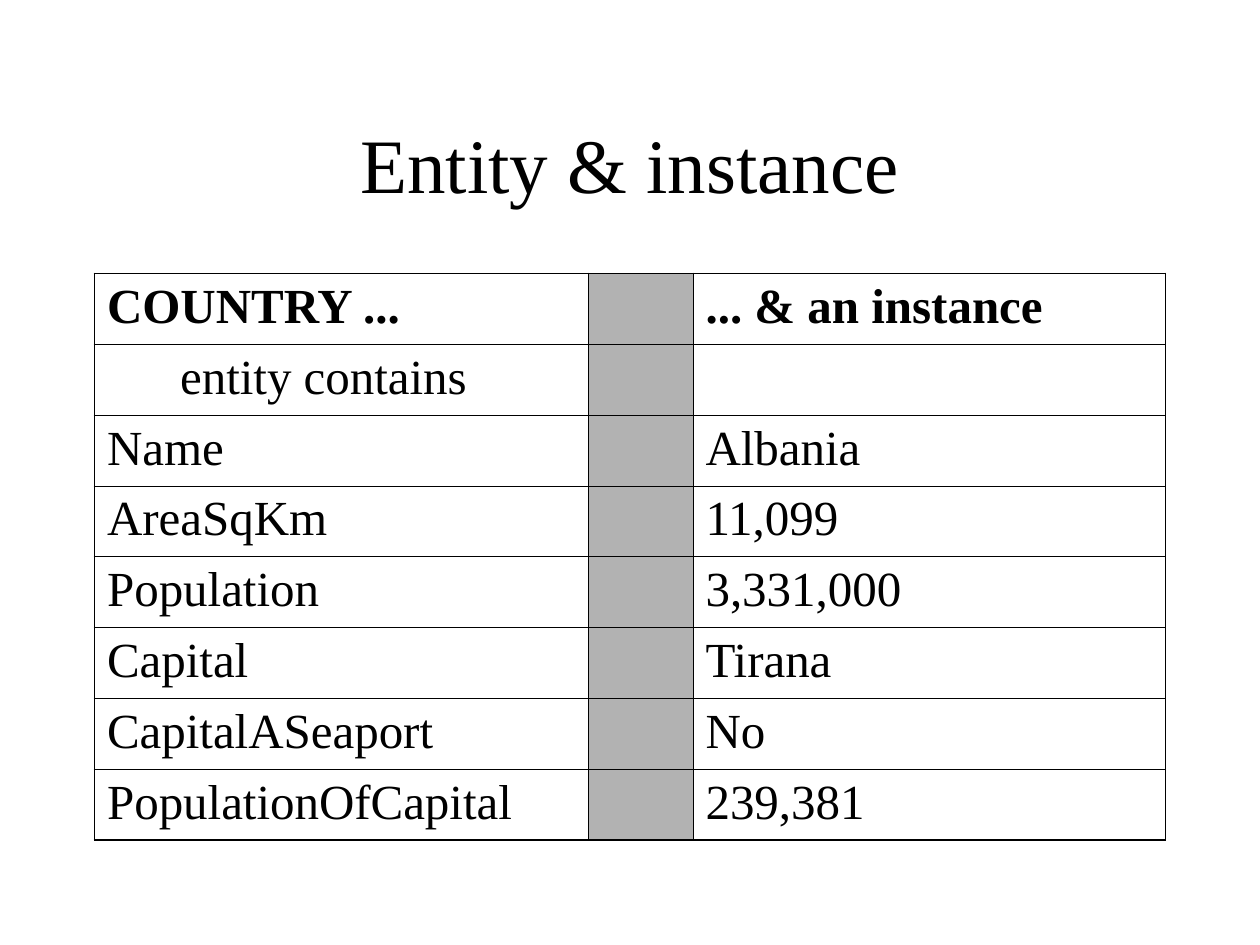
from lxml.etree import SubElement
from pptx import Presentation
from pptx.dml.color import RGBColor
from pptx.enum.text import MSO_ANCHOR, PP_ALIGN
from pptx.oxml.ns import qn
from pptx.util import Inches, Pt

BLACK = RGBColor(0x00, 0x00, 0x00)
GREY = RGBColor(0xB2, 0xB2, 0xB2)
FONT = "Times New Roman"
THIN, THICK = Pt(0.45), Pt(1.08)


def add_run(para, text, size, bold=False):
    run = para.add_run()
    run.text = text
    run.font.name = FONT
    run.font.size = Pt(size)
    run.font.bold = bold
    run.font.color.rgb = BLACK


def add_edge(cell, side, width):
    line = SubElement(cell._tc.get_or_add_tcPr(), qn(f"a:ln{side}"), w=str(width))
    fill = SubElement(line, qn("a:solidFill"))
    SubElement(fill, qn("a:srgbClr"), val=str(BLACK))


prs = Presentation()
prs.slide_width, prs.slide_height = Inches(10), Inches(7.5)
slide = prs.slides.add_slide(prs.slide_layouts[5])

title = slide.shapes.title
title.left, title.top = Inches(0.75), Inches(0.67)
title.width, title.height = Inches(8.5), Inches(1.25)
frame = title.text_frame
frame.word_wrap = True
frame.vertical_anchor = MSO_ANCHOR.MIDDLE
para = frame.paragraphs[0]
para.alignment = PP_ALIGN.CENTER
add_run(para, "Entity & instance", 44)

rows = [
    ("COUNTRY ...", "", "... & an instance"),
    ("entity contains", "", ""),
    ("Name", "", "Albania"),
    ("AreaSqKm", "", "11,099"),
    ("Population", "", "3,331,000"),
    ("Capital", "", "Tirana"),
    ("CapitalASeaport", "", "No"),
    ("PopulationOfCapital", "", "239,381"),
]
widths = [3.92, 0.83, 3.75]
last_row, last_col = len(rows) - 1, len(widths) - 1

table = slide.shapes.add_table(
    len(rows), len(widths), Inches(0.75), Inches(2.17), Inches(8.5), Inches(4.5)
).table
table.first_row = table.horz_banding = False
for col, width in zip(table.columns, widths):
    col.width = Inches(width)

for r, row in enumerate(rows):
    for c, text in enumerate(row):
        cell = table.cell(r, c)
        add_edge(cell, "L", THICK if c == 0 else THIN)
        add_edge(cell, "R", THICK if c == last_col else THIN)
        add_edge(cell, "T", THICK if r == 0 else THIN)
        add_edge(cell, "B", THICK if r == last_row else THIN)
        if c == 1:
            cell.fill.solid()
            cell.fill.fore_color.rgb = GREY
        else:
            cell.fill.background()
        if text:
            para = cell.text_frame.paragraphs[0]
            para.space_before = Pt(7)
            add_run(para, text, 28, r == 0)

indent = table.cell(1, 0).text_frame.paragraphs[0]._p.get_or_add_pPr()
indent.set("marL", str(Inches(0.58)))

prs.save("out.pptx")
